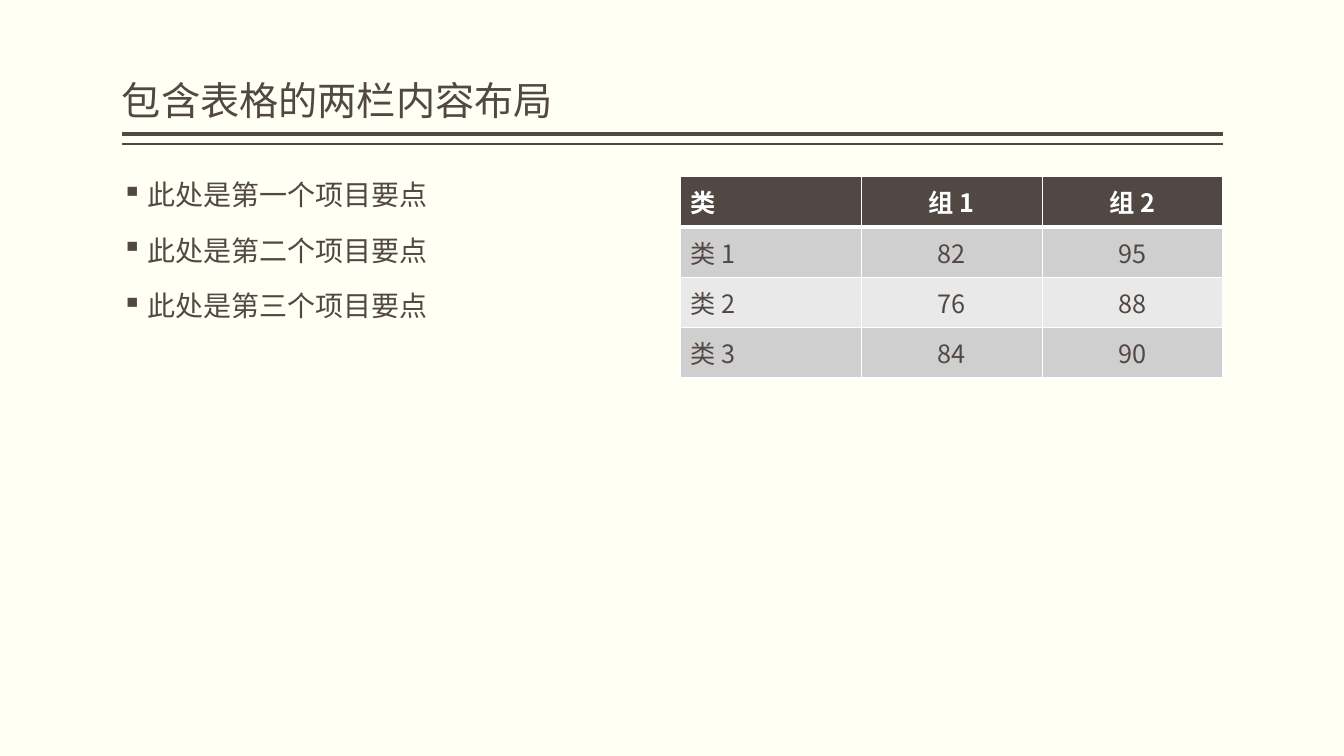
from lxml import etree
from pptx import Presentation
from pptx.dml.color import RGBColor
from pptx.enum.shapes import MSO_CONNECTOR
from pptx.enum.text import MSO_ANCHOR, MSO_AUTO_SIZE, PP_ALIGN
from pptx.oxml.ns import qn
from pptx.util import Inches, Pt

STRAIGHT = MSO_CONNECTOR.STRAIGHT
TOP, MIDDLE, BOTTOM = MSO_ANCHOR.TOP, MSO_ANCHOR.MIDDLE, MSO_ANCHOR.BOTTOM
SHRINK = MSO_AUTO_SIZE.TEXT_TO_FIT_SHAPE
LEFT, CENTER = PP_ALIGN.LEFT, PP_ALIGN.CENTER

FONT = "Noto Sans CJK SC"
IVORY, BROWN, WHITE = "FFFFF3", "514843", "FFFFFF"
BANDS = ["D0CFCF", "E9E9E9"]

TITLE = "包含表格的两栏内容布局"
POINTS = ["此处是第一个项目要点", "此处是第二个项目要点", "此处是第三个项目要点"]
SCORES = [
    ["类", "组 1", "组 2"],
    ["类 1", "82", "95"],
    ["类 2", "76", "88"],
    ["类 3", "84", "90"],
]


def color(value):
    return RGBColor.from_string(value)


def add_span(para, text, size, tint, bold=False):
    span = para.add_run()
    span.text = text
    span.font.size = Pt(size)
    span.font.name = FONT
    span.font.bold = bold
    span.font.color.rgb = color(tint)
    east_asian = etree.SubElement(span.font._element, qn("a:ea"))
    east_asian.set("typeface", FONT)


def add_text_frame(page, box, anchor):
    frame = page.shapes.add_textbox(*map(Inches, box)).text_frame
    frame.word_wrap = True
    frame.vertical_anchor = anchor
    frame.margin_left = frame.margin_right = 0
    return frame


def add_title(page, box):
    left, top, width, height = box
    para = add_text_frame(page, box, BOTTOM).paragraphs[0]
    para.line_spacing = 0.9
    add_span(para, TITLE, 28, BROWN)

    # Thick and thin rules under the title
    for gap, weight in [(0.05, 3), (0.15, 1)]:
        y = Inches(top + height + gap)
        rule = page.shapes.add_connector(
            STRAIGHT, Inches(left + width), y, Inches(left), y)
        rule.line.color.rgb = color(BROWN)
        rule.line.width = Pt(weight)
        etree.SubElement(rule._element.spPr, qn("a:effectLst"))


def add_points(page, box):
    frame = add_text_frame(page, box, TOP)
    frame.auto_size = SHRINK
    for index, point in enumerate(POINTS):
        para = frame.add_paragraph() if index else frame.paragraphs[0]
        para.line_spacing = 0.9
        para.space_before = Pt(18)
        properties = para._p.get_or_add_pPr()
        properties.set("marL", str(Inches(0.25)))
        properties.set("indent", str(-Inches(0.25)))
        etree.SubElement(properties, qn("a:buChar")).set("char", "▪")
        add_span(para, point, 20, BROWN)


def set_borders(cell, weights):
    properties = cell._tc.get_or_add_tcPr()
    for place, (side, weight) in enumerate(weights.items()):
        border = etree.Element(qn(f"a:ln{side}"), w=str(Pt(weight)))
        fill = etree.SubElement(border, qn("a:solidFill"))
        etree.SubElement(fill, qn("a:srgbClr")).set("val", WHITE)
        properties.insert(place, border)


def add_scores(page, box):
    table = page.shapes.add_table(
        len(SCORES), len(SCORES[0]), *map(Inches, box)).table
    for row, values in enumerate(SCORES):
        header = row == 0
        for column, value in enumerate(values):
            cell = table.cell(row, column)
            cell.vertical_anchor = MIDDLE
            cell.fill.solid()
            cell.fill.fore_color.rgb = color(
                BROWN if header else BANDS[(row - 1) % 2])
            set_borders(cell, {"L": 1, "R": 1, "T": 3 if row == 1 else 1,
                               "B": 3 if header else 1})
            para = cell.text_frame.paragraphs[0]
            para.alignment = CENTER if column else LEFT
            add_span(para, value, 18, WHITE if header else BROWN, header)


def main():
    deck = Presentation()
    deck.slide_width, deck.slide_height = Inches(13.33), Inches(7.5)
    page = deck.slides.add_slide(deck.slide_layouts[6])
    page.background.fill.solid()
    page.background.fill.fore_color.rgb = color(IVORY)

    add_title(page, (1.21, 0.08, 10.92, 1.2))
    add_points(page, (1.21, 1.75, 5.38, 5))
    add_scores(page, (6.75, 1.75, 5.38, 2))
    deck.save("out.pptx")


if __name__ == "__main__":
    main()
